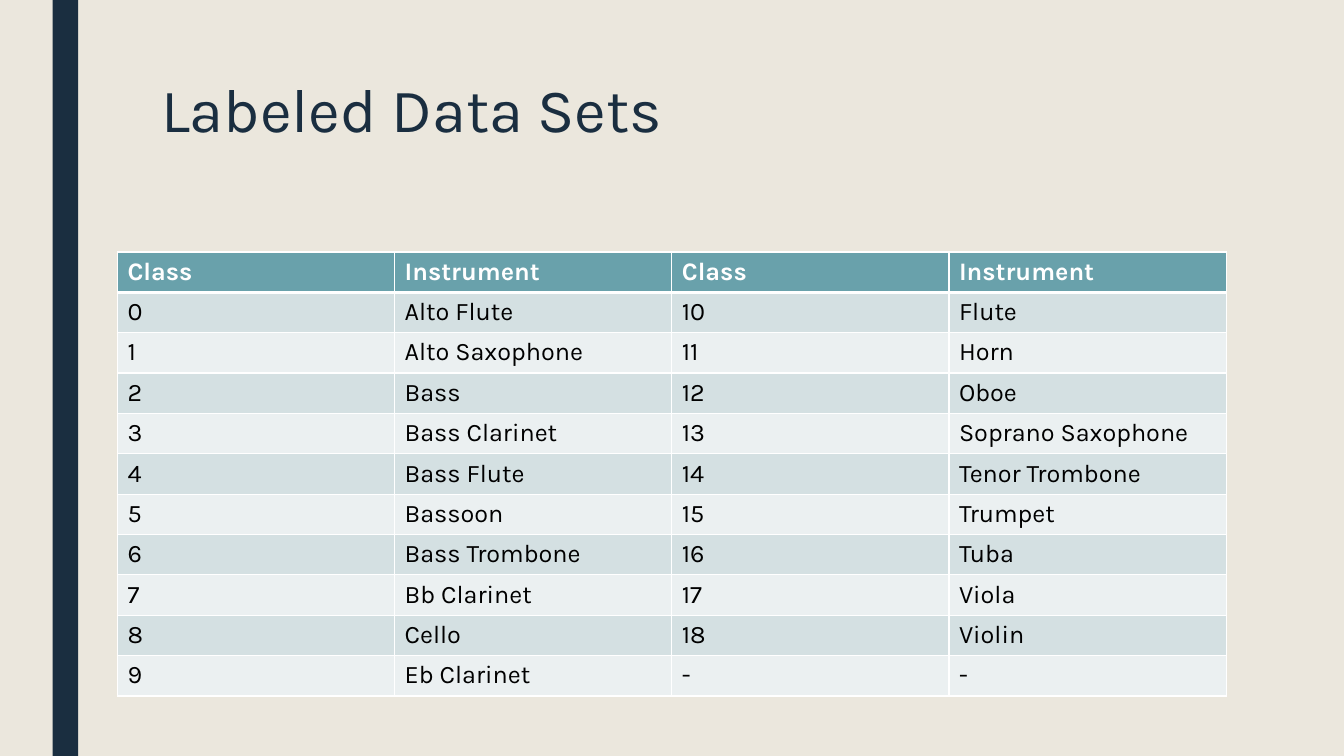
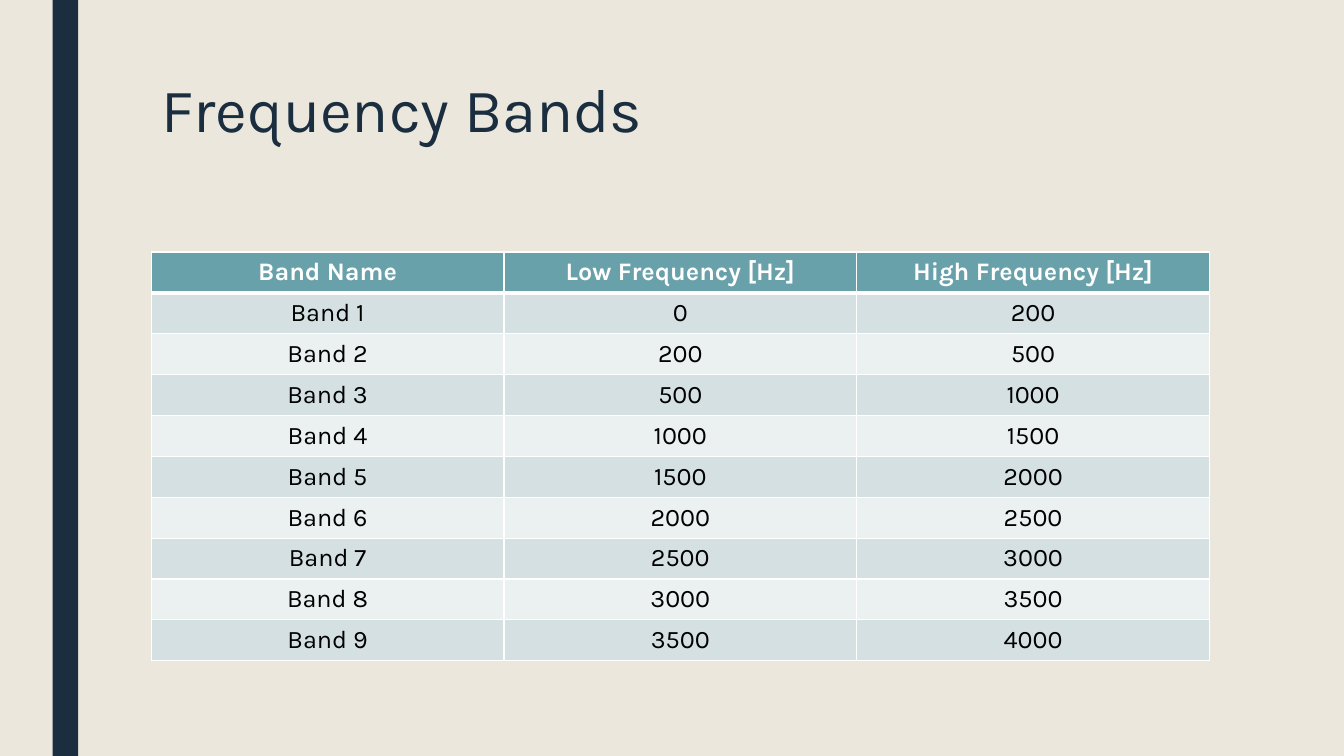
from dataclasses import dataclass
from itertools import pairwise, zip_longest
from typing import Any

from lxml import etree
from pptx import Presentation
from pptx.dml.color import RGBColor
from pptx.enum.shapes import MSO_SHAPE
from pptx.enum.text import MSO_ANCHOR, PP_ALIGN
from pptx.oxml.ns import qn
from pptx.slide import Slide
from pptx.table import _Cell
from pptx.util import Cm, Pt

RECTANGLE = MSO_SHAPE.RECTANGLE
TOP, MIDDLE = MSO_ANCHOR.TOP, MSO_ANCHOR.MIDDLE
LEFT, CENTER = PP_ALIGN.LEFT, PP_ALIGN.CENTER


@dataclass(frozen=True)
class Theme:
    font: str = "Karla"
    background: str = "EBE7DD"
    navy: str = "1A2E40"
    header_fill: str = "69A1AB"
    row_fills: tuple[str, str] = ("D4E0E2", "EBF0F1")
    header_text: str = "FFFFFF"
    body_text: str = "000000"
    border: str = "FFFFFF"
    title_size: int = 44
    table_size: int = 18
    thin_border: int = 1
    thick_border: int = 3
    title_spacing: float = 0.89


@dataclass(frozen=True)
class Box:
    """A rectangle in centimetres."""
    left: float
    top: float
    width: float
    height: float

    def lengths(self) -> tuple[Cm, Cm, Cm, Cm]:
        return Cm(self.left), Cm(self.top), Cm(self.width), Cm(self.height)


@dataclass(frozen=True)
class TableSlide:
    title: str
    box: Box
    rows: list[tuple[str, ...]]
    alignment: PP_ALIGN
    anchor: MSO_ANCHOR


THEME = Theme()
SLIDE_WIDTH, SLIDE_HEIGHT = 33.87, 19.05
BAND_BOX = Box(1.33, 0, 0.64, SLIDE_HEIGHT)
TITLE_BOX = Box(3.81, 1.9, 26.67, 4.13)


# Formatting helpers
def apply_format(target: Any, values: dict[str, Any]) -> None:
    for name, value in values.items():
        setattr(target, name, value)


def fill_solid(target: Any, color: str) -> None:
    target.fill.solid()
    target.fill.fore_color.rgb = RGBColor.from_string(color)


def format_font(font: Any, size: int, color: str, bold: bool = False) -> None:
    apply_format(font, {"name": THEME.font, "size": Pt(size), "bold": bold})
    font.color.rgb = RGBColor.from_string(color)


def set_borders(cell: _Cell, widths: dict[str, int]) -> None:
    properties = cell._tc.get_or_add_tcPr()
    for side, width in widths.items():
        line = etree.SubElement(properties, qn(f"a:ln{side}"), w=str(Pt(width)))
        fill = etree.SubElement(line, qn("a:solidFill"))
        etree.SubElement(fill, qn("a:srgbClr"), val=THEME.border)


# Shared slide parts
def draw_frame(slide: Slide, title: str) -> None:
    fill_solid(slide.background, THEME.background)
    band = slide.shapes.add_shape(RECTANGLE, *BAND_BOX.lengths())
    band.shadow.inherit = False
    fill_solid(band, THEME.navy)
    band.line.fill.background()

    frame = slide.shapes.add_textbox(*TITLE_BOX.lengths()).text_frame
    apply_format(frame, {"word_wrap": True, "vertical_anchor": TOP})
    paragraph = frame.paragraphs[0]
    apply_format(paragraph, {"text": title, "line_spacing": THEME.title_spacing})
    format_font(paragraph.runs[0].font, THEME.title_size, THEME.navy)


# Tables
def draw_cell(cell: _Cell, text: str, row_index: int, content: TableSlide) -> None:
    is_header = row_index == 0
    thin, thick = THEME.thin_border, THEME.thick_border
    set_borders(cell, {
        "L": thin,
        "R": thin,
        "T": thick if row_index == 1 else thin,
        "B": thick if is_header else thin,
    })
    fill_solid(cell, THEME.header_fill if is_header
               else THEME.row_fills[(row_index - 1) % 2])
    cell.vertical_anchor = content.anchor
    paragraph = cell.text_frame.paragraphs[0]
    apply_format(paragraph, {"text": text, "alignment": content.alignment})
    color = THEME.header_text if is_header else THEME.body_text
    format_font(paragraph.runs[0].font, THEME.table_size, color, is_header)


def draw_table(slide: Slide, content: TableSlide) -> None:
    rows = content.rows
    table = slide.shapes.add_table(
        len(rows), len(rows[0]), *content.box.lengths()).table
    for row_index, row in enumerate(rows):
        for column_index, text in enumerate(row):
            draw_cell(table.cell(row_index, column_index), text, row_index, content)


# Instrument classes, split into two halves side by side
INSTRUMENTS = [
    "Alto Flute", "Alto Saxophone", "Bass", "Bass Clarinet", "Bass Flute",
    "Bassoon", "Bass Trombone", "Bb Clarinet", "Cello", "Eb Clarinet",
    "Flute", "Horn", "Oboe", "Soprano Saxophone", "Tenor Trombone",
    "Trumpet", "Tuba", "Viola", "Violin",
]
HALF = 10
classes = [(str(number), name) for number, name in enumerate(INSTRUMENTS)]
instrument_rows = [("Class", "Instrument") * 2] + [
    first + second for first, second in
    zip_longest(classes[:HALF], classes[HALF:], fillvalue=("-", "-"))
]

# Each band runs from one edge to the next
BAND_EDGES = [0, 200, *range(500, 4001, 500)]
frequency_rows = [("Band Name", "Low Frequency [Hz]", "High Frequency [Hz]")] + [
    (f"Band {number}", str(low), str(high))
    for number, (low, high) in enumerate(pairwise(BAND_EDGES), start=1)
]

TABLE_SLIDES = [
    TableSlide("Labeled Data Sets", Box(2.96, 6.35, 27.94, 11.18),
               instrument_rows, LEFT, TOP),
    TableSlide("Frequency Bands", Box(3.81, 6.35, 26.67, 10.3),
               frequency_rows, CENTER, MIDDLE),
]

# Presentation
presentation = Presentation()
apply_format(presentation, {"slide_width": Cm(SLIDE_WIDTH),
                            "slide_height": Cm(SLIDE_HEIGHT)})
blank_layout = presentation.slide_layouts[6]
for table_slide in TABLE_SLIDES:
    slide = presentation.slides.add_slide(blank_layout)
    draw_frame(slide, table_slide.title)
    draw_table(slide, table_slide)
presentation.save("out.pptx")
